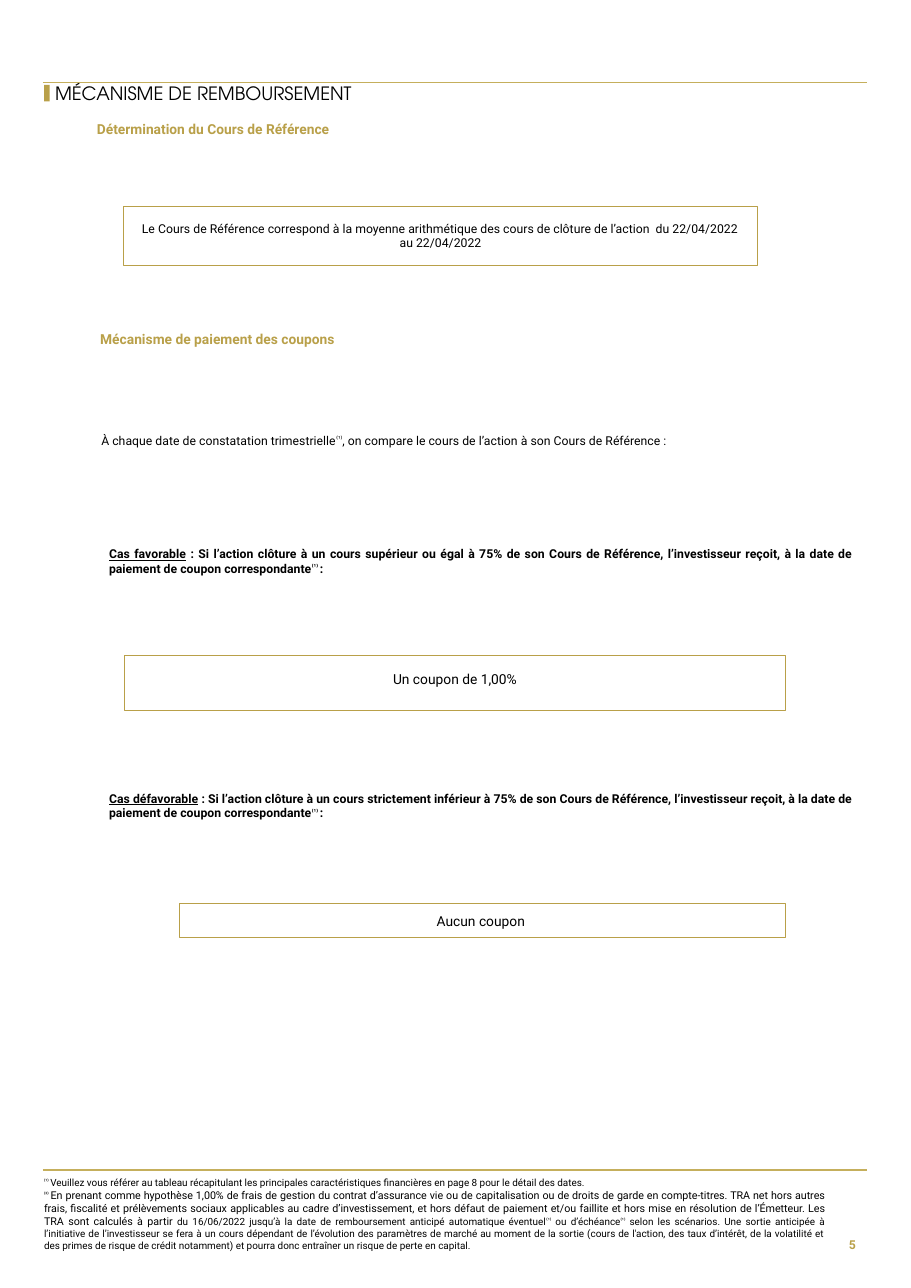
from dataclasses import dataclass

from lxml.etree import SubElement
from pptx import Presentation
from pptx.dml.color import RGBColor
from pptx.enum.shapes import MSO_CONNECTOR, MSO_SHAPE
from pptx.enum.text import MSO_ANCHOR, MSO_AUTO_SIZE, PP_ALIGN
from pptx.oxml.ns import qn
from pptx.util import Inches, Pt


@dataclass(frozen=True)
class Theme:
    gold: RGBColor = RGBColor(0xB9, 0xA0, 0x49)
    pale: RGBColor = RGBColor(0xC5, 0xAF, 0x5C)
    ink: RGBColor = RGBColor(0, 0, 0)
    font: str = "Roboto"
    display: str = "TeX Gyre Adventor"
    title: float = 12
    head: float = 9
    body: float = 8
    note: float = 6.5
    dense: float = 7


THEME = Theme()
MARK = "⁽¹⁾"


def style(run, size, color=THEME.ink, bold=False, name=THEME.font):
    run.font.size = Pt(size)
    run.font.color.rgb = color
    run.font.bold = bold
    run.font.name = name
    if run.text.startswith("⁽"):
        run._r.get_or_add_rPr().set("baseline", "30000")


def set_frame(frame, insets=(0, 0, 0, 0), anchor=MSO_ANCHOR.TOP):
    frame.word_wrap = True
    frame.auto_size = MSO_AUTO_SIZE.NONE
    frame.vertical_anchor = anchor
    left, top, right, bottom = insets
    frame.margin_left, frame.margin_right = Inches(left), Inches(right)
    frame.margin_top, frame.margin_bottom = Inches(top), Inches(bottom)


def add_text(slide, place, *lines, bold=False, color=THEME.ink, align=PP_ALIGN.JUSTIFY, anchor=MSO_ANCHOR.TOP):
    frame = slide.shapes.add_textbox(*map(Inches, place)).text_frame
    set_frame(frame, anchor=anchor)
    for i, parts in enumerate(lines):
        line = frame.add_paragraph() if i else frame.paragraphs[0]
        line.alignment = align
        for text, size in parts:
            run = line.add_run()
            run.text = text
            style(run, size, color, bold)
    return frame


def add_head(slide, place, text):
    add_text(slide, place, [(text, THEME.head)], bold=True, color=THEME.gold, align=PP_ALIGN.LEFT)


def add_case(slide, top, label, text):
    size = THEME.body
    parts = [(label, size), (text, size), (MARK + " ", size), (": ", size)]
    frame = add_text(slide, (0.99, top, 6.76, 0.27), parts, bold=True)
    frame.paragraphs[0].runs[0].font.underline = True


def add_box(slide, place, text, size, width, insets):
    box = slide.shapes.add_shape(MSO_SHAPE.RECTANGLE, *map(Inches, place))
    box.shadow.inherit = False
    box.fill.background()
    box.line.color.rgb = THEME.gold
    box.line.width = Pt(width)
    frame = box.text_frame
    set_frame(frame, insets, MSO_ANCHOR.MIDDLE)
    frame.text = text
    frame.paragraphs[0].alignment = PP_ALIGN.CENTER
    style(frame.paragraphs[0].runs[0], size)


def add_rule(slide, top):
    rule = slide.shapes.add_connector(
        MSO_CONNECTOR.STRAIGHT, Inches(0.39), Inches(top), Inches(7.87), Inches(top))
    rule.line.color.rgb = THEME.pale
    rule.line.width = Pt(0.75)
    SubElement(rule._element.spPr, qn("a:effectLst"))


def add_title(slide, text):
    title = slide.shapes.title
    title.left, title.top, title.width, title.height = map(Inches, (0.5, 0.73, 4.21, 0.25))
    frame = title.text_frame
    set_frame(frame, anchor=MSO_ANCHOR.MIDDLE)
    frame.text = text
    line = frame.paragraphs[0]
    line.alignment = PP_ALIGN.LEFT
    line.line_spacing = 0.9
    style(line.runs[0], THEME.title, name=THEME.display)
    bar = slide.shapes.add_shape(MSO_SHAPE.RECTANGLE, *map(Inches, (0.4, 0.77, 0.05, 0.15)))
    bar.shadow.inherit = False
    bar.fill.solid()
    bar.fill.fore_color.rgb = THEME.gold
    bar.line.fill.background()


def add_notes(slide):
    size = THEME.note
    first = [
        (MARK + " ", size),
        ("Veuillez vous référer au tableau récapitulant les principales caractéristiques financières "
         "en page 8 pour le détail des dates. ", size),
    ]
    second = [
        ("⁽²⁾ ", size),
        ("En prenant comme hypothèse 1,00% de frais de gestion du contrat d’assurance vie ou de "
         "capitalisation ou de droits de garde en compte-titres. TRA net hors autres frais, fiscalité "
         "et prélèvements sociaux applicables au cadre d’investissement, et hors défaut de paiement "
         "et/ou faillite et hors mise en résolution de l’Émetteur. Les TRA sont calculés à partir ",
         THEME.dense),
        ("du 16/06/2022 jusqu’à la date de remboursement anticipé automatique éventuel", size),
        (MARK, size),
        (" ou d’échéance", size),
        (MARK, size),
        (" selon les scénarios. Une sortie anticipée à l’initiative de l’investisseur se fera à un "
         "cours dépendant de l’évolution des paramètres de marché au moment de la sortie (cours de "
         "l'action, des taux d’intérêt, de la volatilité et des primes de risque de crédit notamment) "
         "et pourra donc entraîner un risque de perte en capital.", size),
    ]
    add_text(slide, (0.4, 10.68, 7.09, 0.68), first, second)


def main():
    deck = Presentation()
    deck.slide_width, deck.slide_height = Inches(8.27), Inches(11.69)
    slide = deck.slides.add_slide(deck.slide_layouts[5])

    add_rule(slide, 0.75)
    add_title(slide, "MÉCANISME DE REMBOURSEMENT")

    add_head(slide, (0.88, 1.1, 2.97, 0.18), "Détermination du Cours de Référence")
    add_box(slide, (1.12, 1.87, 5.76, 0.54),
            "Le Cours de Référence correspond à la moyenne arithmétique des cours de clôture "
            "de l’action  du 22/04/2022 au 22/04/2022",
            THEME.body, 0.5, (0.12, 0.1, 0.12, 0.1))

    add_head(slide, (0.91, 3, 6.57, 0.17), "Mécanisme de paiement des coupons")
    add_text(slide, (0.92, 3.93, 6.57, 0.13), [
        ("À chaque date de constatation trimestrielle", THEME.body),
        (MARK, THEME.body),
        (", on compare le cours de l’action à son Cours de Référence :", THEME.body),
    ])

    add_case(slide, 4.96, "Cas favorable",
             " : Si l’action clôture à un cours supérieur ou égal à 75% de son Cours de Référence, "
             "l’investisseur reçoit, à la date de paiement de coupon correspondante")
    add_box(slide, (1.13, 5.95, 6, 0.5), "Un coupon de 1,00%",
            THEME.head, 0.75, (0.12, 0.08, 0.12, 0.15))

    add_case(slide, 7.18, "Cas défavorable",
             " : Si l’action clôture à un cours strictement inférieur à 75% de son Cours de Référence, "
             "l’investisseur reçoit, à la date de paiement de coupon correspondante")
    add_box(slide, (1.63, 8.2, 5.5, 0.31), "Aucun coupon ",
            THEME.head, 0.75, (0.12, 0.08, 0.12, 0.08))

    add_rule(slide, 10.62)
    add_notes(slide)
    add_text(slide, (7.48, 11.09, 0.29, 0.42), [("5", THEME.body)], bold=True,
             color=THEME.gold, align=PP_ALIGN.RIGHT, anchor=MSO_ANCHOR.MIDDLE)
    deck.save("out.pptx")


if __name__ == "__main__":
    main()
